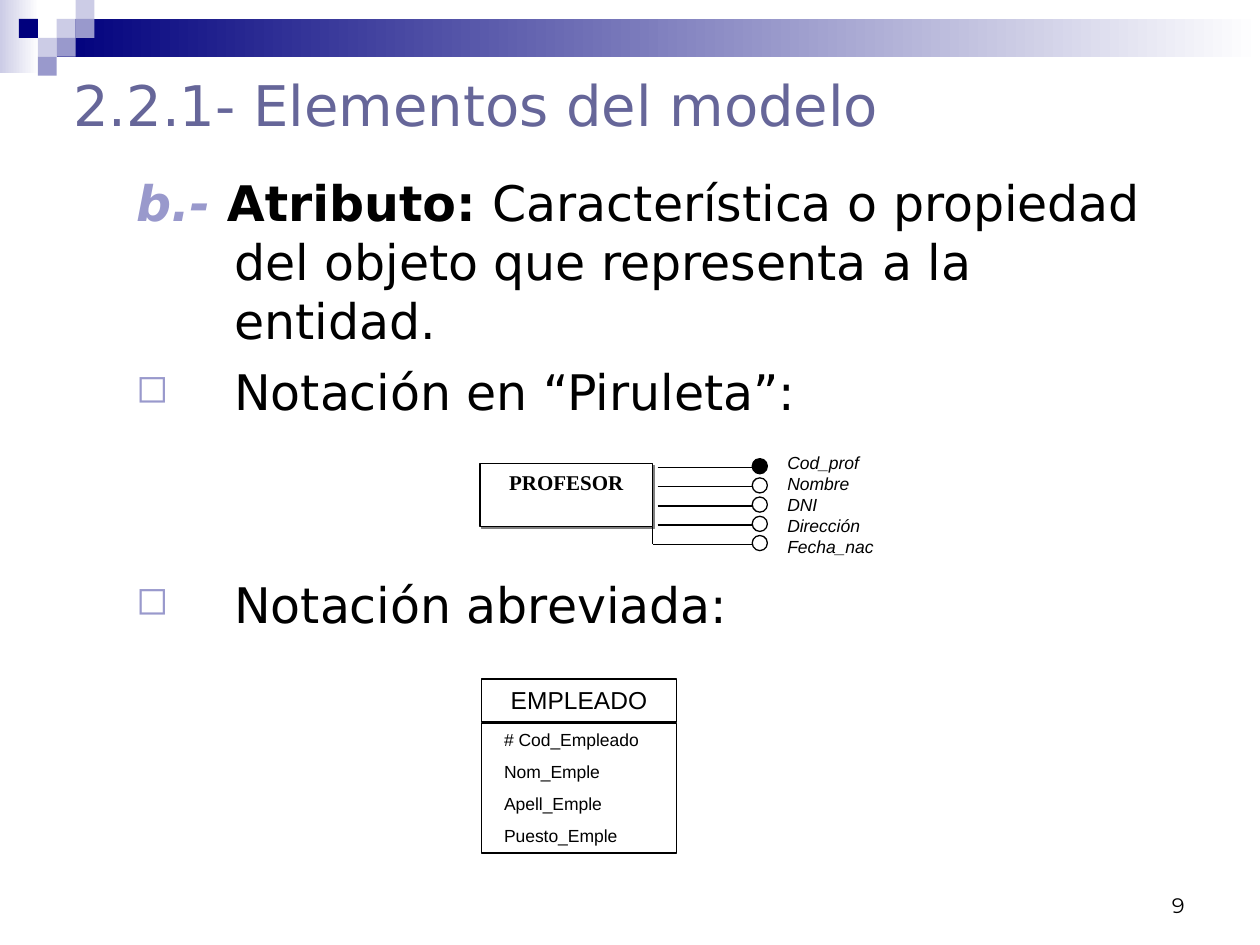
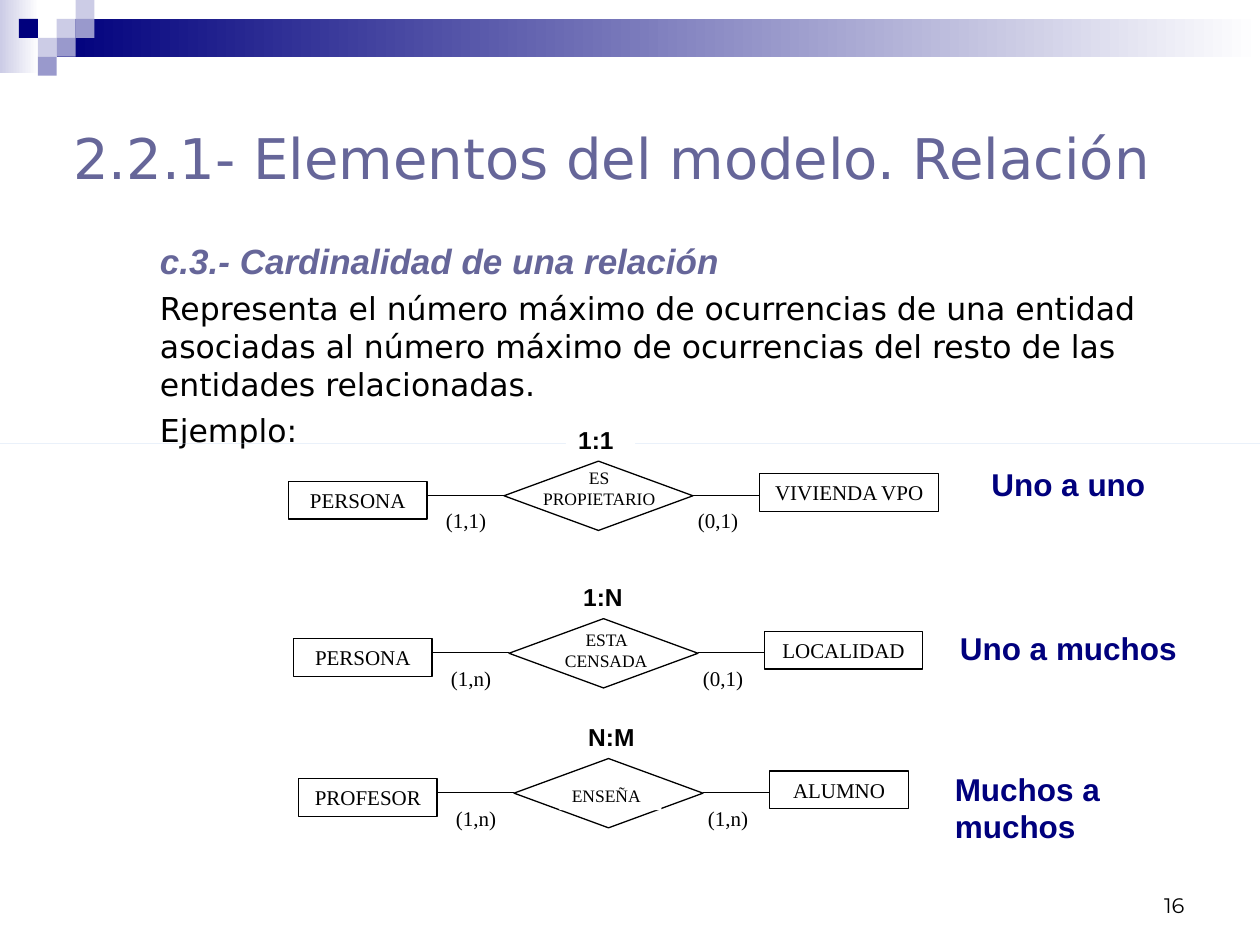
from lxml.etree import SubElement
from pptx import Presentation
from pptx.dml.color import RGBColor
from pptx.enum.shapes import MSO_CONNECTOR, MSO_SHAPE
from pptx.enum.text import MSO_ANCHOR, PP_ALIGN
from pptx.oxml.ns import qn
from pptx.util import Inches, Pt

COLOURS = {
    "navy": "00007D", "lilac": "9999CC", "pale": "CCCCE6", "title": "666699",
    "black": "000000", "white": "FFFFFF", "rule": "C6D9F1", "shadow": "808080",
}
SANS, ARIAL, TIMES, NUMBERS = "DejaVu Sans", "Arial", "Times New Roman", "Montserrat"
WIDTH, HEIGHT = 10, 7.5
TILE = 0.15
TILES = [(3, 1, "pale"), (4, 0, "pale"), (4, 1, "lilac"), (2, 2, "pale"),
         (1, 1, "navy"), (3, 2, "lilac"), (2, 3, "lilac")]
PLAIN_INSETS = (0.1, 0.05)
BODY_INSETS = (0.08, 0.08)

ATTRIBUTE_TITLE = "2.2.1- Elementos del modelo"
ATTRIBUTE_BODY = [
    {"runs": [("b.- ", {"colour": "lilac", "bold": True, "italic": True}),
              ("Atributo: ", {"bold": True}),
              ("Característica o propiedad del objeto que representa a la entidad.", {})]},
    {"runs": [("Notación en “Piruleta”:", {})], "before": 7, "bullet": "◻"},
    {"runs": [("Notación abreviada:", {})], "before": 88, "bullet": "◻"},
]
TEACHER_FIELDS = ["Cod_prof", "Nombre", "DNI", "Dirección", "Fecha_nac"]
EMPLOYEE_FIELDS = ["# Cod_Empleado", "Nom_Emple", "Apell_Emple", "Puesto_Emple"]

RELATION_TITLE = "2.2.1- Elementos del modelo. Relación"
RELATION_BODY = [
    {"runs": [("c.3.- Cardinalidad de una relación",
               {"size": 20, "font": ARIAL, "colour": "title", "bold": True, "italic": True})]},
    {"runs": [("Representa el número máximo de ocurrencias de una entidad asociadas al "
               "número máximo de ocurrencias del resto de las entidades relacionadas.", {})],
     "before": 4.5},
    {"runs": [("Ejemplo:", {})], "before": 4.5},
]
RELATIONS = [
    {"origin": (4, 3.66), "ratio": "1:1", "ratio_width": 0.55,
     "verb": "ES PROPIETARIO", "verb_at": (0.16, 0, 1.19, 0.25),
     "left": "PERSONA", "right": "VIVIENDA VPO", "right_width": 1.42,
     "cards": ("(1,1)", "(0,1)"), "caption": "Uno a uno", "caption_at": (7.77, 3.64, 1.84, 0.4)},
    {"origin": (4.04, 4.91), "ratio": "1:N", "ratio_width": 0.55,
     "verb": "ESTA CENSADA", "verb_at": (0.28, 0.03, 0.98, 0.35),
     "left": "PERSONA", "right": "LOCALIDAD", "right_width": 1.25,
     "cards": ("(1,n)", "(0,1)"), "caption": "Uno a muchos", "caption_at": (7.52, 4.94, 2.03, 0.4)},
    {"origin": (4.08, 6.02), "ratio": "N:M", "ratio_width": 0.64,
     "verb": "ENSEÑA", "verb_at": (0.36, 0.16, 0.81, 0.25), "verb_fill": "white",
     "verb_align": PP_ALIGN.LEFT,
     "left": "PROFESOR", "right": "ALUMNO", "right_width": 1.1,
     "cards": ("(1,n)", "(1,n)"), "caption": "Muchos a muchos",
     "caption_at": (7.48, 6.06, 2.03, 0.7)},
]


def rgb(name):
    return RGBColor.from_string(COLOURS[name])


def add_figure(page, at, fill=None, line=None, kind=MSO_SHAPE.RECTANGLE):
    shape = page.shapes.add_shape(kind, *map(Inches, at))
    shape.shadow.inherit = False
    if fill:
        shape.fill.solid()
        shape.fill.fore_color.rgb = rgb(fill)
    else:
        shape.fill.background()
    if line:
        shape.line.color.rgb = rgb(line)
        shape.line.width = Pt(0.75)
    else:
        shape.line.fill.background()
    return shape


def add_gradient(page, at, start):
    shape = add_figure(page, at, start)
    shape.fill.gradient()
    shape.fill.gradient_angle = 0
    for stop, position, name in zip(shape.fill.gradient_stops, (0, 1), (start, "white")):
        stop.position = position
        stop.color.rgb = rgb(name)


def add_line(page, start, end):
    line = page.shapes.add_connector(MSO_CONNECTOR.STRAIGHT, *map(Inches, start + end))
    line.line.color.rgb = rgb("black")
    line.line.width = Pt(0.75)
    SubElement(line._element.spPr, qn("a:effectLst"))


def style_span(span, size=12, font=TIMES, colour="black", bold=False, italic=False):
    span.font.size = Pt(size)
    span.font.name = font
    span.font.color.rgb = rgb(colour)
    span.font.bold = bold
    span.font.italic = italic


def set_frame(box, insets=PLAIN_INSETS, anchor=MSO_ANCHOR.TOP):
    frame = box.text_frame
    frame.word_wrap = True
    frame.vertical_anchor = anchor
    frame.margin_left, frame.margin_top = map(Inches, insets)
    frame.margin_right, frame.margin_bottom = map(Inches, insets)
    return frame


def write(box, text, align=PP_ALIGN.LEFT, before=0, insets=PLAIN_INSETS,
          anchor=MSO_ANCHOR.TOP, **style):
    frame = set_frame(box, insets, anchor)
    frame.text = text
    for index, para in enumerate(frame.paragraphs):
        para.alignment = align
        para.space_before = Pt(before if index else 0)
        for span in para.runs:
            style_span(span, **style)


def add_text(page, at, text, **options):
    write(page.shapes.add_textbox(*map(Inches, at)), text, **options)


def add_body(page, at, paragraphs, margin, indent, **defaults):
    frame = set_frame(page.shapes.add_textbox(*map(Inches, at)), BODY_INSETS)
    for index, content in enumerate(paragraphs):
        para = frame.add_paragraph() if index else frame.paragraphs[0]
        para.space_before = Pt(content.get("before", 0))
        for text, style in content["runs"]:
            span = para.add_run()
            span.text = text
            style_span(span, **{**defaults, **style})
        properties = para._p.get_or_add_pPr()
        properties.set("marL", str(Inches(margin)))
        properties.set("indent", str(Inches(indent)))
        if "bullet" in content:
            colour = SubElement(properties, qn("a:buClr"))
            SubElement(colour, qn("a:srgbClr"), val=COLOURS["lilac"])
            SubElement(properties, qn("a:buSzPct"), val="80000")
            SubElement(properties, qn("a:buChar"), char=content["bullet"])


def add_page(deck, title, title_at, number):
    page = deck.slides.add_slide(deck.slide_layouts[6])
    add_gradient(page, (0, 0, 0.31, 0.58), "pale")
    add_gradient(page, (3 * TILE, TILE, WIDTH - 3 * TILE, 2 * TILE), "navy")
    for column, row, colour in TILES:
        add_figure(page, (column * TILE, row * TILE, TILE, TILE), colour)
    add_text(page, (7.17, 6.83, 2.33, 0.5), number, align=PP_ALIGN.RIGHT,
             anchor=MSO_ANCHOR.BOTTOM, font=NUMBERS)
    add_text(page, title_at, title, insets=BODY_INSETS, anchor=MSO_ANCHOR.MIDDLE,
             size=32, font=SANS, colour="title")
    return page


def add_drop_shadow(shape):
    effects = shape._element.spPr.find(qn("a:effectLst"))
    shadow = SubElement(effects, qn("a:outerShdw"), blurRad="0", dist=str(Pt(1.4)),
                        dir="2700000", algn="ctr", rotWithShape="0")
    SubElement(shadow, qn("a:srgbClr"), val=COLOURS["shadow"])


def add_lollipops(page):
    left, top, width, height = 3.81, 3.68, 1.37, 0.5
    entity = add_figure(page, (left, top, width, height), "white", "black")
    add_drop_shadow(entity)
    write(entity, "PROFESOR", align=PP_ALIGN.CENTER, bold=True)
    edge, tip, size, pitch = left + width, 5.97, 0.12, 0.1525
    last = len(TEACHER_FIELDS) - 1
    for index in range(len(TEACHER_FIELDS)):
        circle_top = 3.64 + index * pitch
        level = circle_top + 0.07
        start = edge if index == last else edge + 0.04
        add_line(page, (start, level), (tip, level))
        add_figure(page, (tip, circle_top, size, size), "white" if index else "black",
                   "black", MSO_SHAPE.OVAL)
    add_line(page, (edge, top + height), (edge, level))
    add_text(page, (6.15, 3.54, 1.5, 0.94), "\n".join(TEACHER_FIELDS),
             size=10, font=ARIAL, italic=True)


def add_entity_table(page):
    left, width = 3.82, 1.55
    heading = add_figure(page, (left, 5.39, width, 0.34), line="black")
    write(heading, "EMPLEADO", align=PP_ALIGN.CENTER, size=14, font=ARIAL)
    fields = add_figure(page, (left, 5.74, width, 1.03), line="black")
    write(fields, "\n".join(EMPLOYEE_FIELDS), before=6.2, insets=(0.18, 0.05),
          size=10, font=ARIAL)


def add_relation(page, relation):
    left, top = relation["origin"]

    def place(dx, dy, width, height):
        return left + dx, top + dy, width, height

    add_figure(page, place(0, 0, 1.5, 0.55), "white", "black", MSO_SHAPE.DIAMOND)
    for start, end in ((0, -0.6), (1.5, 2.03)):
        add_line(page, (left + start, top + 0.27), (left + end, top + 0.27))
    verb = add_figure(page, place(*relation["verb_at"]), relation.get("verb_fill"))
    write(verb, relation["verb"], size=10,
          align=relation.get("verb_align", PP_ALIGN.CENTER))
    for text, dx in zip(relation["cards"], (-0.56, 1.44)):
        write(add_figure(page, place(dx, 0.32, 0.55, 0.29), "white"), text)
    for side, dx, dy, width in (("left", -1.71, 0.16, 1.1),
                                ("right", 2.03, 0.1, relation["right_width"])):
        entity = add_figure(page, place(dx, dy, width, 0.3), "white", "black")
        write(entity, relation[side], align=PP_ALIGN.CENTER)
    ratio = add_figure(page, place(0.49, -0.34, relation["ratio_width"], 0.29), "white")
    write(ratio, relation["ratio"], size=14, font=ARIAL, bold=True)
    add_text(page, relation["caption_at"], relation["caption"],
             size=18, font=ARIAL, colour="navy", bold=True)


def main():
    """Build the two slides on the entity-relationship model."""
    deck = Presentation()
    deck.slide_width, deck.slide_height = Inches(WIDTH), Inches(HEIGHT)

    page = add_page(deck, ATTRIBUTE_TITLE, (0.5, 0.66, 9, 0.33), "9")
    add_body(page, (0.5, 1.29, 9, 5.74), ATTRIBUTE_BODY, 1.28, -0.78, size=28, font=SANS)
    add_lollipops(page)
    add_entity_table(page)

    page = add_page(deck, RELATION_TITLE, (0.5, 0.5, 9, 1.5), "16")
    add_body(page, (0.5, 1.82, 8.83, 4.59), RELATION_BODY, 0.69, 0, size=18, font=SANS)
    add_figure(page, (0, 3.52, WIDTH, 0), "rule")
    for relation in RELATIONS:
        add_relation(page, relation)

    deck.save("out.pptx")


if __name__ == "__main__":
    main()
